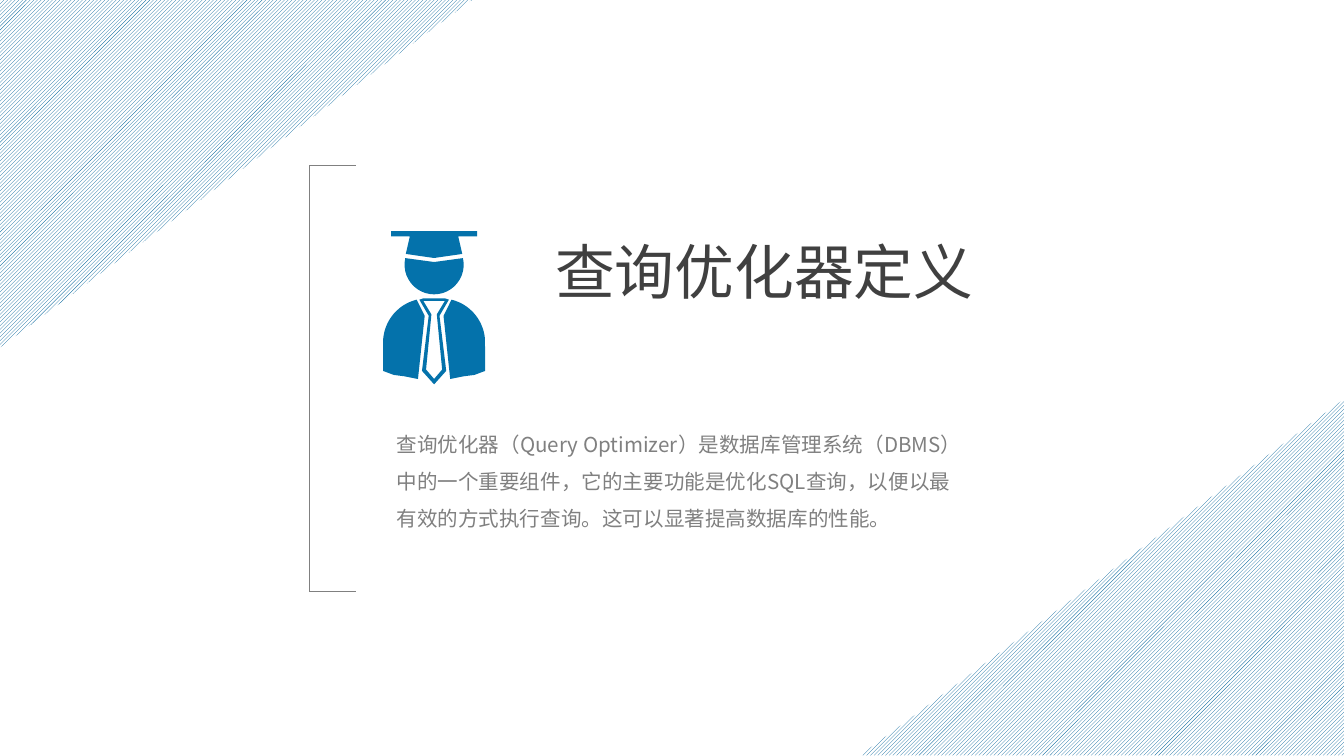
from dataclasses import dataclass
from math import cos, radians, sin

from lxml.etree import SubElement
from pptx import Presentation
from pptx.dml.color import RGBColor
from pptx.enum.dml import MSO_PATTERN
from pptx.enum.shapes import MSO_CONNECTOR, MSO_SHAPE
from pptx.enum.text import MSO_ANCHOR, MSO_AUTO_SIZE, PP_ALIGN
from pptx.oxml.ns import qn
from pptx.util import Inches, Pt

AXIS = 3.23  # vertical axis of symmetry of the graduate


def rgb(hex_color):
    return RGBColor.from_string(hex_color)


def arc(center, radius, start, end, steps=24):
    """Points on a circle, angles in degrees clockwise from the right."""
    angles = [radians(start + (end - start) * i / steps) for i in range(steps + 1)]
    return [(center[0] + radius * cos(a), center[1] + radius * sin(a)) for a in angles]


def mirror(points):
    return [(2 * AXIS - x, y) for x, y in points]


def symmetric(right_half):
    """Close an outline from its right half, listed top to bottom."""
    return right_half + mirror(right_half)[::-1]


@dataclass
class SlideBuilder:
    slide: object
    font: str = "Noto Sans CJK SC"
    accent: str = "0472AB"
    stripe: str = "00639B"
    background: str = "FFFFFF"
    muted: str = "808080"

    def text(self, placeholder, wording, box, size, color, spacing):
        placeholder.left, placeholder.top, placeholder.width, placeholder.height = map(Inches, box)
        frame = placeholder.text_frame
        frame.text = wording
        frame.word_wrap = True
        frame.auto_size = MSO_AUTO_SIZE.NONE
        frame.vertical_anchor = MSO_ANCHOR.TOP
        paragraph = frame.paragraphs[0]
        paragraph.alignment = PP_ALIGN.LEFT
        paragraph.line_spacing = spacing
        paragraph.space_before = Pt(0)
        properties = paragraph._p.get_or_add_pPr()
        for attribute, value in (("marL", "0"), ("indent", "0"), ("hangingPunct", "1")):
            properties.set(attribute, value)
        SubElement(properties, qn("a:buNone"))
        font = paragraph.font
        font.name, font.size, font.bold = self.font, Pt(size), False
        font.color.rgb = rgb(color)
        SubElement(font._element, qn("a:ea")).set("typeface", self.font)

    def outline(self, group, *contours):
        """Fill closed contours given in inches; a second one cuts a hole."""
        first, *others = [[(Inches(x), Inches(y)) for x, y in contour] for contour in contours]
        builder = group.shapes.build_freeform(*first[0])
        builder.add_line_segments(first[1:])
        for contour in others:
            builder.move_to(*contour[0])
            builder.add_line_segments(contour[1:])
        shape = builder.convert_to_shape()
        shape.shadow.inherit = False
        shape.fill.solid()
        shape.fill.fore_color.rgb = rgb(self.accent)
        shape.line.fill.background()

    def line(self, group, start, end):
        connector = group.shapes.add_connector(
            MSO_CONNECTOR.STRAIGHT, *map(Inches, start + end))
        connector.line.color.rgb = rgb(self.muted)
        connector.line.width = Pt(0.25)
        SubElement(connector._element.spPr, qn("a:effectLst"))

    def striped_corner(self, left, top, rotation):
        triangle = self.slide.shapes.add_shape(
            MSO_SHAPE.RIGHT_TRIANGLE, *map(Inches, (left, top, 2.68, 3.64)))
        triangle.rotation = rotation
        triangle.shadow.inherit = False
        triangle.fill.patterned()
        triangle.fill.pattern = MSO_PATTERN.DARK_UPWARD_DIAGONAL
        triangle.fill.fore_color.rgb = rgb(self.stripe)
        triangle.fill.back_color.rgb = rgb(self.background)
        triangle.line.fill.background()

    def graduate(self):
        group = self.slide.shapes.add_group_shape()
        jacket = arc((3.28, 2.55), 0.33, -76, -5) + [
            (3.61, 2.76), (3.53, 2.79), (3.45, 2.8), (3.35, 2.82), (3.3, 2.35)]
        self.outline(group, jacket)
        self.outline(group, mirror(jacket))
        tie_edge = symmetric([(3.31, 2.22), (3.34, 2.23), (3.27, 2.35), (3.32, 2.76), (AXIS, 2.86)])
        tie_inside = symmetric([(3.31, 2.24), (3.25, 2.34), (3.29, 2.75), (AXIS, 2.82)])
        self.outline(group, tie_edge, tie_inside[::-1])
        cap = [(3.55, 1.72), (3.55, 1.76), (3.41, 1.76), (3.44, 1.89), (AXIS, 1.92)]
        self.outline(group, symmetric(cap))
        head = arc((AXIS, 1.97), 0.22, -13, 193) + [(AXIS, 1.95)]
        self.outline(group, head)

    def bracket(self, left, top, right, bottom):
        group = self.slide.shapes.add_group_shape()
        self.line(group, (left, top), (left, bottom))
        for y in (top, bottom):
            self.line(group, (left, y), (right, y))


def main():
    presentation = Presentation()
    presentation.slide_width = Inches(10)
    presentation.slide_height = presentation.slide_width * 9 // 16
    slide = presentation.slides.add_slide(presentation.slide_layouts[1])
    builder = SlideBuilder(slide)

    builder.text(slide.shapes.title, "查询优化器定义",
                 (4.03, 1.7, 3.67, 1.18), 32, "404040", 1.0)
    definition = ("查询优化器（Query Optimizer）是数据库管理系统（DBMS）中的一个重要组件，"
                  "它的主要功能是优化SQL查询，以便以最有效的方式执行查询。"
                  "这可以显著提高数据库的性能。")
    builder.text(slide.placeholders[1], definition,
                 (2.85, 3.07, 4.45, 0.9), 11, builder.muted, 1.5)
    builder.graduate()
    builder.bracket(2.3, 1.23, 2.65, 4.4)
    builder.striped_corner(0.42, -0.53, 90)
    builder.striped_corner(6.88, 2.46, 270)
    presentation.save("out.pptx")


if __name__ == "__main__":
    main()
